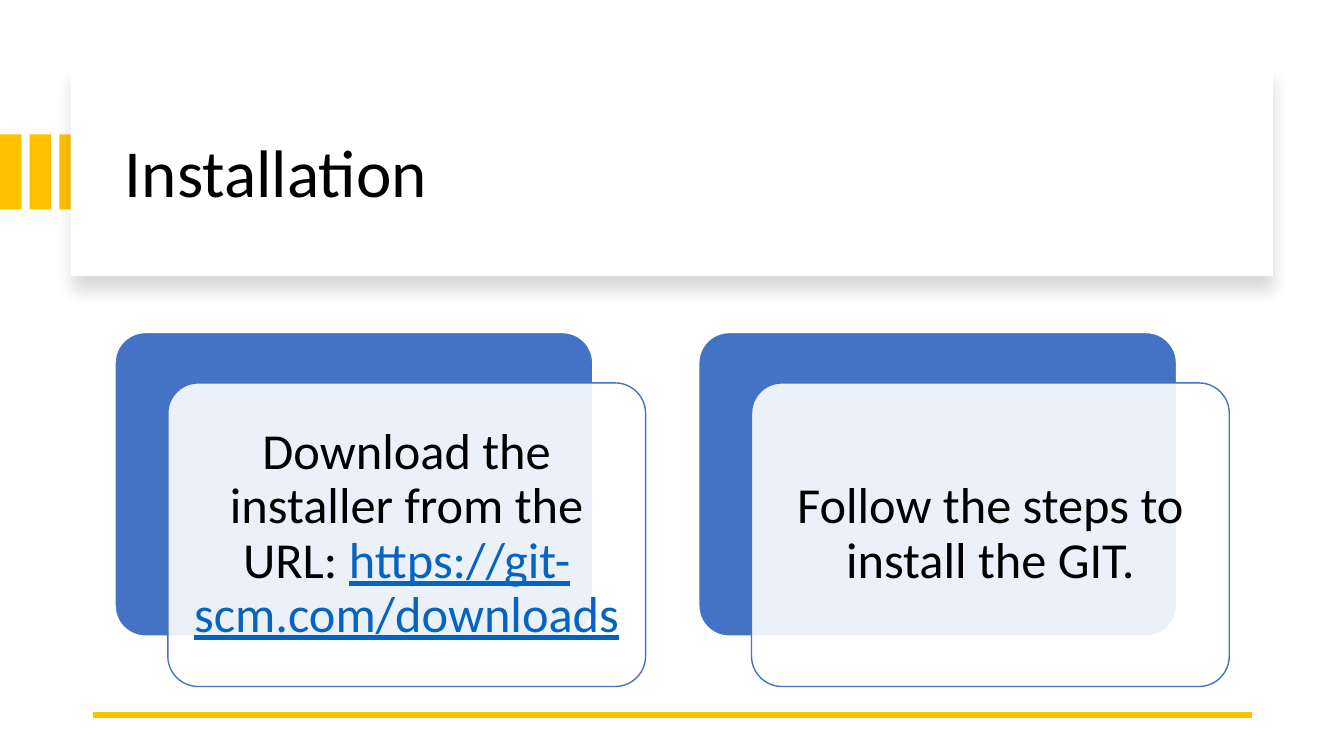
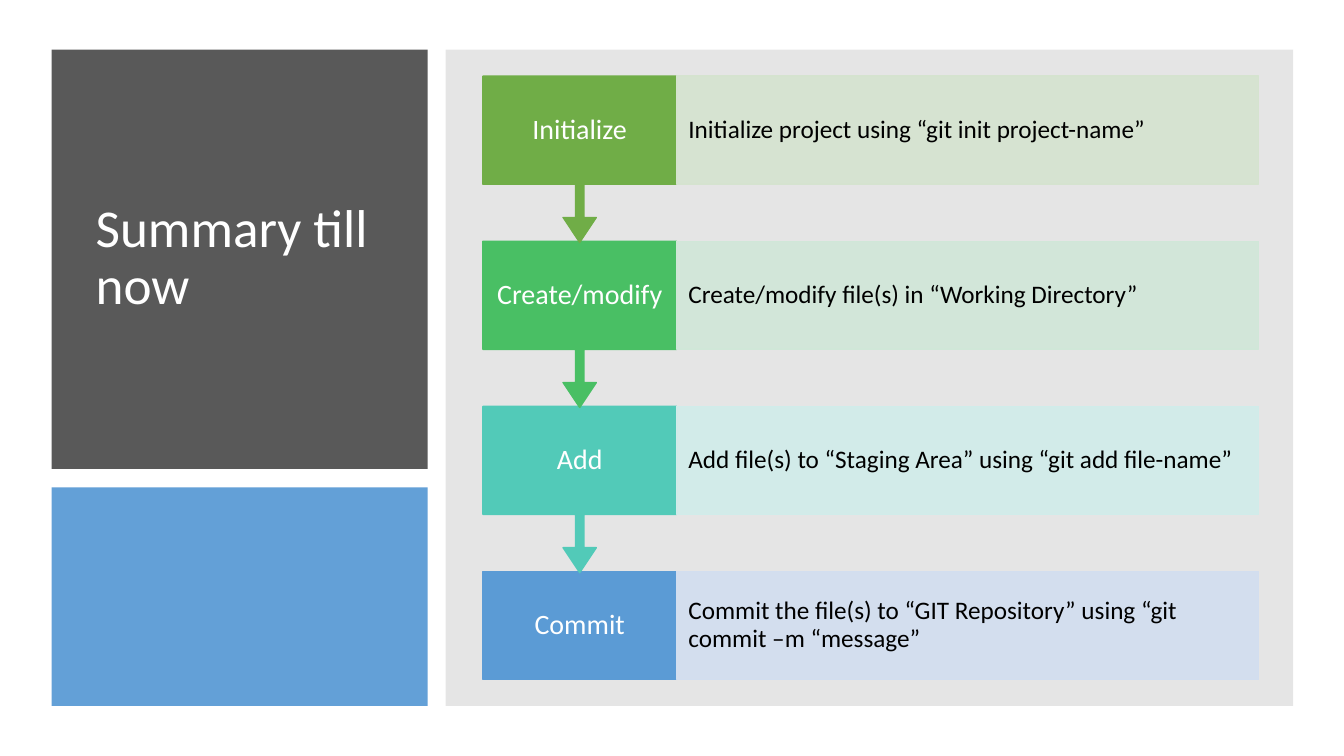
from lxml.etree import SubElement
from pptx import Presentation
from pptx.dml.color import RGBColor
from pptx.enum.shapes import MSO_CONNECTOR as Connector, MSO_SHAPE as Shape
from pptx.enum.text import MSO_ANCHOR as Anchor, MSO_AUTO_SIZE as AutoSize, PP_ALIGN as Align
from pptx.oxml.ns import qn
from pptx.util import Cm, Pt

FONT = "Calibri"
BLACK = RGBColor(0x00, 0x00, 0x00)
WHITE = RGBColor(0xFF, 0xFF, 0xFF)
GOLD = RGBColor(0xFF, 0xC0, 0x00)
CARD_BLUE = RGBColor(0x44, 0x72, 0xC4)
URL_BLUE = RGBColor(0x05, 0x63, 0xC1)
DARK_GREY = RGBColor(0x59, 0x59, 0x59)
GREY = RGBColor(0x80, 0x80, 0x80)
SKY = RGBColor(0x5B, 0x9B, 0xD5)

CARDS = [
    [("Download the installer from the URL: ", {}),
     ("https://git-scm.com/downloads", {"color": URL_BLUE, "underline": True})],
    [("Follow the steps to install the GIT.", {})],
]
STEPS = [
    ("Initialize", "Initialize project using “git init project-name”",
     RGBColor(0x70, 0xAD, 0x47), RGBColor(0xD5, 0xE3, 0xCF)),
    ("Create/modify", "Create/modify file(s) in “Working Directory”",
     RGBColor(0x49, 0xBF, 0x64), RGBColor(0xD0, 0xE7, 0xD8)),
    ("Add", "Add file(s) to “Staging Area” using “git add file-name”",
     RGBColor(0x52, 0xCA, 0xB8), RGBColor(0xD0, 0xEC, 0xEA)),
    ("Commit", "Commit the file(s) to “GIT Repository” using “git commit –m “message”",
     SKY, RGBColor(0xD2, 0xDE, 0xEF)),
]


def write_text(shape, text, size, color=BLACK, align=Align.LEFT, margins=(0.25, 0.13)):
    frame = shape.text_frame
    frame.word_wrap = True
    frame.auto_size = AutoSize.NONE
    frame.vertical_anchor = Anchor.MIDDLE
    frame.margin_left = frame.margin_right = Cm(margins[0])
    frame.margin_top = frame.margin_bottom = Cm(margins[1])
    paragraph = frame.paragraphs[0]
    paragraph.alignment = align
    paragraph.line_spacing = 0.9
    for words, style in [(text, {})] if isinstance(text, str) else text:
        run = paragraph.add_run()
        run.text = words
        run.font.name = FONT
        run.font.size = Pt(size)
        run.font.color.rgb = style.get("color", color)
        run.font.underline = style.get("underline")


def add_block(slide, box, fill, kind=Shape.RECTANGLE, line=None, opacity=100, adjustments=()):
    shape = slide.shapes.add_shape(kind, *map(Cm, box))
    shape.shadow.inherit = False
    shape.fill.solid()
    shape.fill.fore_color.rgb = fill
    if opacity < 100:
        color = shape.element.spPr.find(qn("a:solidFill")).find(qn("a:srgbClr"))
        SubElement(color, qn("a:alpha"), val=str(opacity * 1000))
    if line is None:
        shape.line.fill.background()
    else:
        shape.line.color.rgb = line
        shape.line.width = Pt(1)
    for index, value in enumerate(adjustments):
        shape.adjustments[index] = value
    return shape


def add_soft_shadow(shape):
    effects = shape.element.spPr.find(qn("a:effectLst"))
    shadow = SubElement(effects, qn("a:outerShdw"), blurRad=str(Pt(11)), dist=str(Pt(10)),
                        dir="5400000", algn="t", rotWithShape="0")
    color = SubElement(shadow, qn("a:srgbClr"), val=str(BLACK))
    SubElement(color, qn("a:alpha"), val="15000")


def place_title(slide, text, box, size, color):
    title = slide.shapes.title
    title.left, title.top, title.width, title.height = map(Cm, box)
    write_text(title, text, size, color)
    title.element.getparent().append(title.element)


def build_installation(slide):
    for index in range(3):
        add_block(slide, (0.75 * index, 3.39, 0.54, 1.89), GOLD)
    band = add_block(slide, (1.78, 1.7, 30.3, 5.26), WHITE)
    add_soft_shadow(band)
    place_title(slide, "Installation", (2.9, 2.26, 28.27, 4.32), 48, BLACK)

    rule = slide.shapes.add_connector(Connector.STRAIGHT, Cm(31.55), Cm(18.01), Cm(2.34), Cm(18.01))
    rule.line.color.rgb = GOLD
    rule.line.width = Pt(4.5)
    SubElement(rule.element.spPr, qn("a:effectLst"))

    width, height, top = 12.04, 7.65, 8.38
    for index, text in enumerate(CARDS):
        left = 2.9 + 14.71 * index
        add_block(slide, (left, top, width, height), CARD_BLUE, Shape.ROUNDED_RECTANGLE,
                  line=WHITE, adjustments=[0.1])
        card = add_block(slide, (left + 1.33, top + 1.27, width, height), WHITE,
                         Shape.ROUNDED_RECTANGLE, line=CARD_BLUE, opacity=90, adjustments=[0.1])
        write_text(card, text, 36, align=Align.CENTER, margins=(0.38, 0.38))


def build_summary(slide):
    left, top, width = 1.3, 1.25, 9.48
    add_block(slide, (left, top, width, 10.57), DARK_GREY)
    place_title(slide, "Summary till now", (2.16, 2.03, 7.9, 8.99), 38, WHITE)
    add_block(slide, (left, 12.28, width, 5.51), SKY, opacity=95)
    add_block(slide, (11.23, top, 21.36, 16.54), GREY, opacity=20)

    step_left, step_width, step_height = 12.17, 4.88, 2.72
    last = len(STEPS) - 1
    for index, (name, detail, color, tint) in reversed(list(enumerate(STEPS))):
        step_top = 1.92 + 4.16 * index
        if index == last:
            step = add_block(slide, (step_left, step_top, step_width, step_height), color, line=color)
        else:
            step = add_block(slide, (step_left, step_top, step_width, 4.19), color,
                             Shape.DOWN_ARROW_CALLOUT, line=color,
                             adjustments=[0.05, 0.1, 0.15, 0.65])
        write_text(step, name, 20, WHITE, Align.CENTER, margins=(0.2, 0.2))
        panel = add_block(slide, (step_left + step_width, step_top, 14.66, step_height), tint,
                          line=tint, opacity=90)
        write_text(panel, detail, 18, margins=(0.3, 0.4))


def main():
    presentation = Presentation()
    presentation.slide_width, presentation.slide_height = Cm(33.87), Cm(19.05)
    title_only = presentation.slide_layouts[5]
    for build in (build_installation, build_summary):
        build(presentation.slides.add_slide(title_only))
    presentation.save("out.pptx")


if __name__ == "__main__":
    main()
